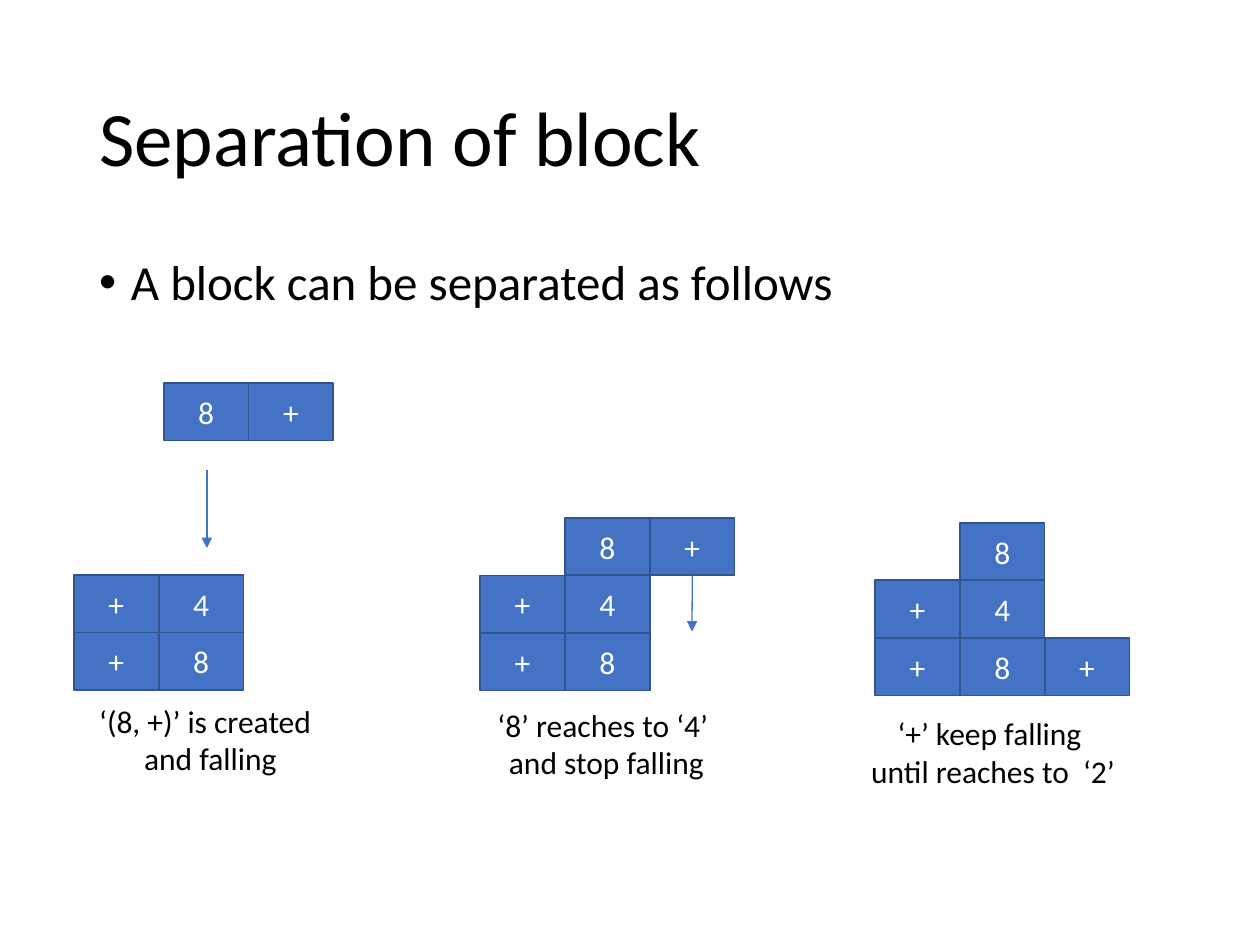
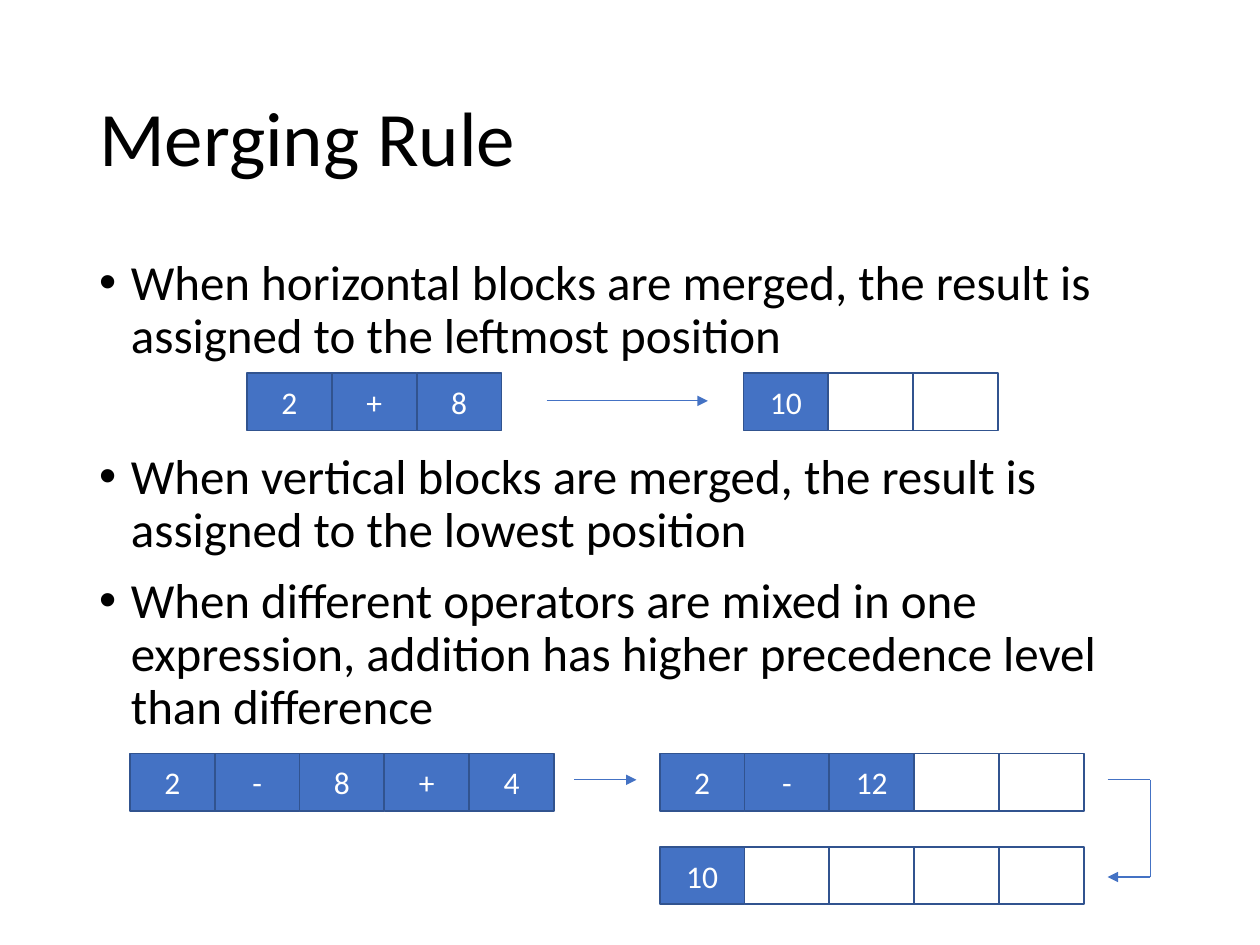
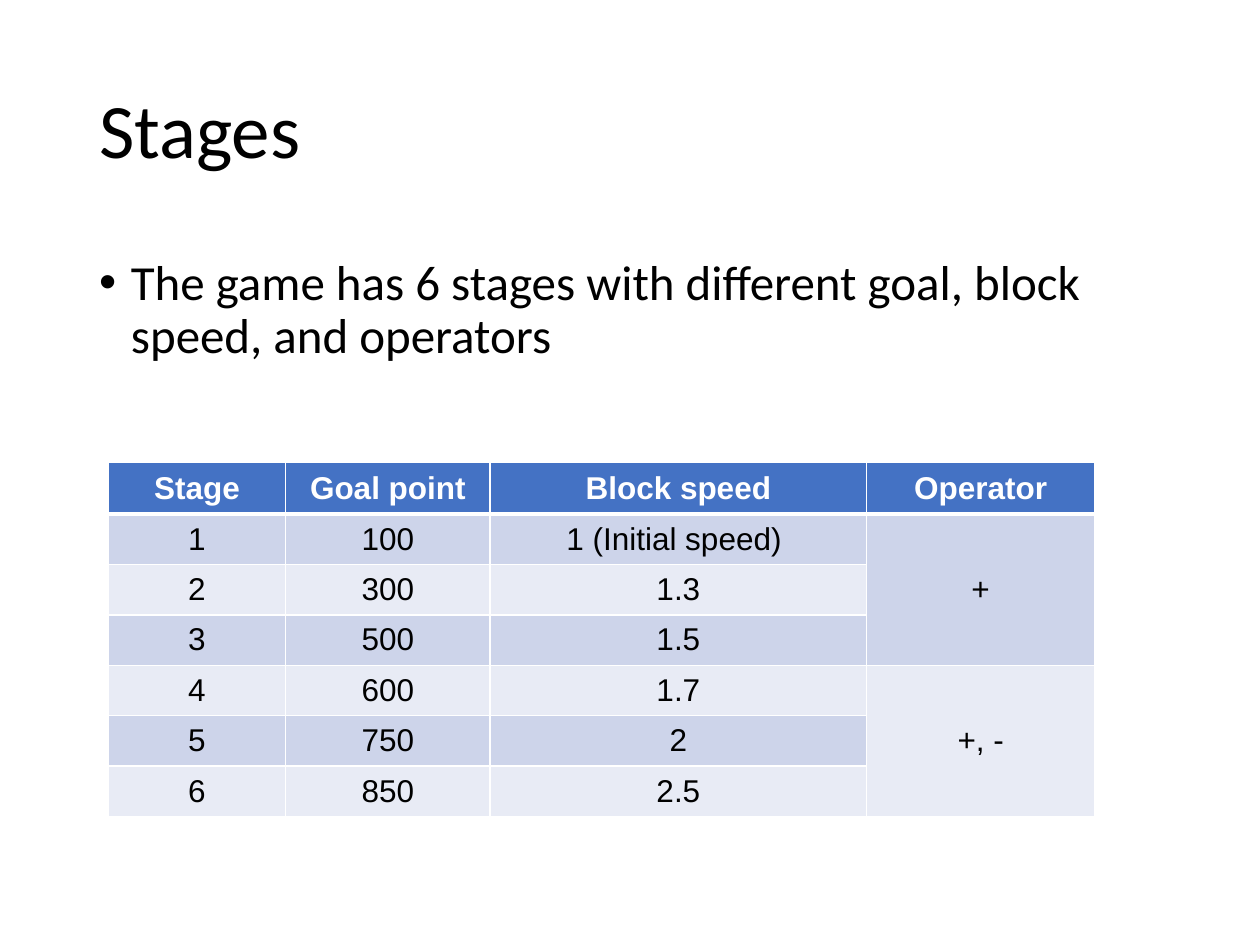
"""Build three slides on the block separation, merging and stage rules of a game."""
from lxml.etree import SubElement
from pptx import Presentation
from pptx.dml.color import RGBColor
from pptx.enum.shapes import MSO_CONNECTOR, MSO_SHAPE
from pptx.enum.text import MSO_ANCHOR, PP_ALIGN
from pptx.oxml.ns import qn
from pptx.util import Cm, Pt

COLORS = {
    "text": "000000",
    "white": "FFFFFF",
    "block": "4472C4",
    "outline": "31538F",
    "odd_row": "CDD4EA",
    "even_row": "E8EBF5",
}
BODY_FONT = "Calibri"
TABLE_FONT = "Arial"
MARGIN_LEFT, CONTENT_WIDTH = 1.75, 21.9
BLOCK_WIDTH, BLOCK_HEIGHT = 1.71, 1.16


class Deck:
    """Hold the shared style and the slide being filled."""

    def __init__(self):
        self.presentation = Presentation()
        self.presentation.slide_width = Cm(25.4)
        self.presentation.slide_height = Cm(19.05)
        self.slide = None

    def color(self, name):
        return RGBColor.from_string(COLORS[name])

    def run(self, paragraph, text, size, color="text", font=BODY_FONT, bold=False):
        run = paragraph.add_run()
        run.text = text
        run.font.name = font
        run.font.size = Pt(size)
        run.font.bold = bold
        run.font.color.rgb = self.color(color)

    def text_frame(self, left, top, width, height, anchor=MSO_ANCHOR.TOP):
        box = self.slide.shapes.add_textbox(Cm(left), Cm(top), Cm(width), Cm(height))
        frame = box.text_frame
        frame.word_wrap = True
        frame.vertical_anchor = anchor
        return frame

    def paragraphs(self, frame, texts):
        for index, text in enumerate(texts):
            paragraph = frame.add_paragraph() if index else frame.paragraphs[0]
            yield paragraph, text

    def new_slide(self, title, title_top=1.02):
        self.slide = self.presentation.slides.add_slide(self.presentation.slide_layouts[6])
        frame = self.text_frame(MARGIN_LEFT, title_top, CONTENT_WIDTH, 3.68, MSO_ANCHOR.MIDDLE)
        frame.paragraphs[0].line_spacing = 0.9
        self.run(frame.paragraphs[0], title, 44)

    def bullets(self, height, items):
        frame = self.text_frame(MARGIN_LEFT, 5.08, CONTENT_WIDTH, height)
        for paragraph, (text, space_before) in self.paragraphs(frame, items):
            paragraph.line_spacing = 0.9
            paragraph.space_before = Pt(space_before)
            properties = paragraph._p.get_or_add_pPr()
            properties.set("marL", str(Cm(0.64)))
            properties.set("indent", str(-Cm(0.64)))
            SubElement(properties, qn("a:buFont")).set("typeface", TABLE_FONT)
            SubElement(properties, qn("a:buChar")).set("char", "•")
            self.run(paragraph, text, 28)

    def caption(self, left, top, width, lines, first_alignment=PP_ALIGN.CENTER):
        frame = self.text_frame(left, top, width, 1.8)
        for paragraph, text in self.paragraphs(frame, lines):
            paragraph.alignment = PP_ALIGN.CENTER
            self.run(paragraph, text, 18)
        frame.paragraphs[0].alignment = first_alignment

    def block(self, left, top, text):
        shape = self.slide.shapes.add_shape(
            MSO_SHAPE.RECTANGLE, Cm(left), Cm(top), Cm(BLOCK_WIDTH), Cm(BLOCK_HEIGHT))
        shape.shadow.inherit = False
        shape.fill.solid()
        shape.fill.fore_color.rgb = self.color("block" if text else "white")
        shape.line.color.rgb = self.color("outline")
        shape.line.width = Pt(1)
        if text:
            shape.text_frame.vertical_anchor = MSO_ANCHOR.MIDDLE
            paragraph = shape.text_frame.paragraphs[0]
            paragraph.alignment = PP_ALIGN.CENTER
            self.run(paragraph, text, 18, "white")
        return shape

    def blocks(self, left, top, rows):
        """Draw a grid of blocks, leaving None cells out, and return them by position."""
        return {
            (row, column): self.block(left + column * BLOCK_WIDTH, top + row * BLOCK_HEIGHT, text)
            for row, texts in enumerate(rows)
            for column, text in enumerate(texts)
            if text is not None
        }

    def line(self, start, end, arrow=True):
        connector = self.slide.shapes.add_connector(
            MSO_CONNECTOR.STRAIGHT, *(Cm(value) for value in (*start, *end)))
        connector.line.color.rgb = self.color("block")
        connector.line.width = Pt(0.75)
        if arrow:
            SubElement(connector.line._get_or_add_ln(), qn("a:tailEnd")).set("type", "triangle")
        SubElement(connector._element.spPr, qn("a:effectLst"))
        return connector

    def cell_border(self, cell, side, width):
        border = SubElement(cell._tc.get_or_add_tcPr(), qn(f"a:ln{side}"), w=str(Pt(width)))
        fill = SubElement(border, qn("a:solidFill"))
        SubElement(fill, qn("a:srgbClr")).set("val", COLORS["white"])

    def table(self, left, top, widths, heights, rows, merges):
        frame = self.slide.shapes.add_table(
            len(rows), len(widths), Cm(left), Cm(top), Cm(sum(widths)), Cm(sum(heights)))
        table = frame.table
        for column, width in zip(table.columns, widths):
            column.width = Cm(width)
        for row, height in zip(table.rows, heights):
            row.height = Cm(height)
        for row_index, texts in enumerate(rows):
            header = row_index == 0
            fill = "block" if header else "odd_row" if row_index % 2 else "even_row"
            for column_index, text in enumerate(texts):
                cell = table.cell(row_index, column_index)
                cell.vertical_anchor = MSO_ANCHOR.MIDDLE
                for side in "LRTB":
                    thick = (row_index, side) in ((0, "B"), (1, "T"))
                    self.cell_border(cell, side, 3 if thick else 1)
                cell.fill.solid()
                cell.fill.fore_color.rgb = self.color(fill)
                if text:
                    paragraph = cell.text_frame.paragraphs[0]
                    paragraph.alignment = PP_ALIGN.CENTER
                    self.run(paragraph, text, 18, "white" if header else "text", TABLE_FONT, header)
        for first, last in merges:
            table.cell(*first).merge(table.cell(*last))


def separation_slide(deck):
    deck.new_slide("Separation of block")
    deck.bullets(2.26, [("A block can be separated as follows", 0)])

    deck.blocks(3.3, 7.72, [["8", "+"]])
    deck.line((4.17, 9.47), (4.17, 11.05))
    deck.blocks(1.49, 11.59, [["+", "4"], ["+", "8"]])
    deck.caption(1.75, 14.02, 4.98, ["‘(8, +)’ is created", "and falling"], PP_ALIGN.LEFT)

    stopped = deck.blocks(9.68, 10.44, [[None, "8", "+"], ["+", "4"], ["+", "8"]])
    falling_arrow = deck.line((13.95, 11.6), (13.95, 12.73))
    falling_arrow.begin_connect(stopped[0, 2], 2)
    deck.caption(9.75, 14.1, 4.95, ["‘8’ reaches to ‘4’ ", "and stop falling"])

    deck.blocks(17.64, 10.54, [[None, "8"], ["+", "4"], ["+", "8", "+"]])
    deck.caption(17.27, 14.27, 5.5, ["‘+’ keep falling ", "until reaches to  ‘2’"])


def merging_slide(deck):
    deck.new_slide("Merging Rule")
    deck.bullets(13.49, [
        ("When horizontal blocks are merged, the result is assigned to the leftmost position", 0),
        ("When vertical blocks are merged, the result is assigned to the lowest position", 50.5),
        ("When different operators are mixed in one expression, "
         "addition has higher precedence level than difference", 10),
    ])

    deck.blocks(4.98, 7.52, [["2", "+", "8"]])
    deck.line((11.02, 8.08), (14.27, 8.08))
    deck.blocks(14.99, 7.52, [["10", "", ""]])

    deck.blocks(2.62, 15.19, [["2", "-", "8", "+", "4"]])
    deck.line((11.58, 15.72), (12.83, 15.72))
    deck.blocks(13.3, 15.19, [["2", "-", "12", "", ""]])
    deck.blocks(13.3, 17.07, [["10", "", "", "", ""]])

    corners = [(22.33, 15.72), (23.19, 15.72), (23.19, 17.68), (22.33, 17.68)]
    for start, end in zip(corners, corners[1:]):
        deck.line(start, end, arrow=end == corners[-1])


def stages_slide(deck):
    deck.new_slide("Stages", 0.86)
    deck.bullets(12.09, [
        ("The game has 6 stages with different goal, block speed, and operators", 0)])
    rows = [
        ["Stage", "Goal point", "Block speed", "Operator"],
        ["1", "100", "1 (Initial speed) ", "+"],
        ["2", "300", "1.3", None],
        ["3", "500", "1.5", None],
        ["4", "600", "1.7", "+, -"],
        ["5", "750", "2", None],
        ["6", "850", "2.5", None],
    ]
    deck.table(2.18, 9.32, [3.58, 4.12, 7.59, 4.6], [1.04] + [0.99] * 6, rows,
               [((1, 3), (3, 3)), ((4, 3), (6, 3))])


def main():
    deck = Deck()
    separation_slide(deck)
    merging_slide(deck)
    stages_slide(deck)
    deck.presentation.save("out.pptx")


if __name__ == "__main__":
    main()
